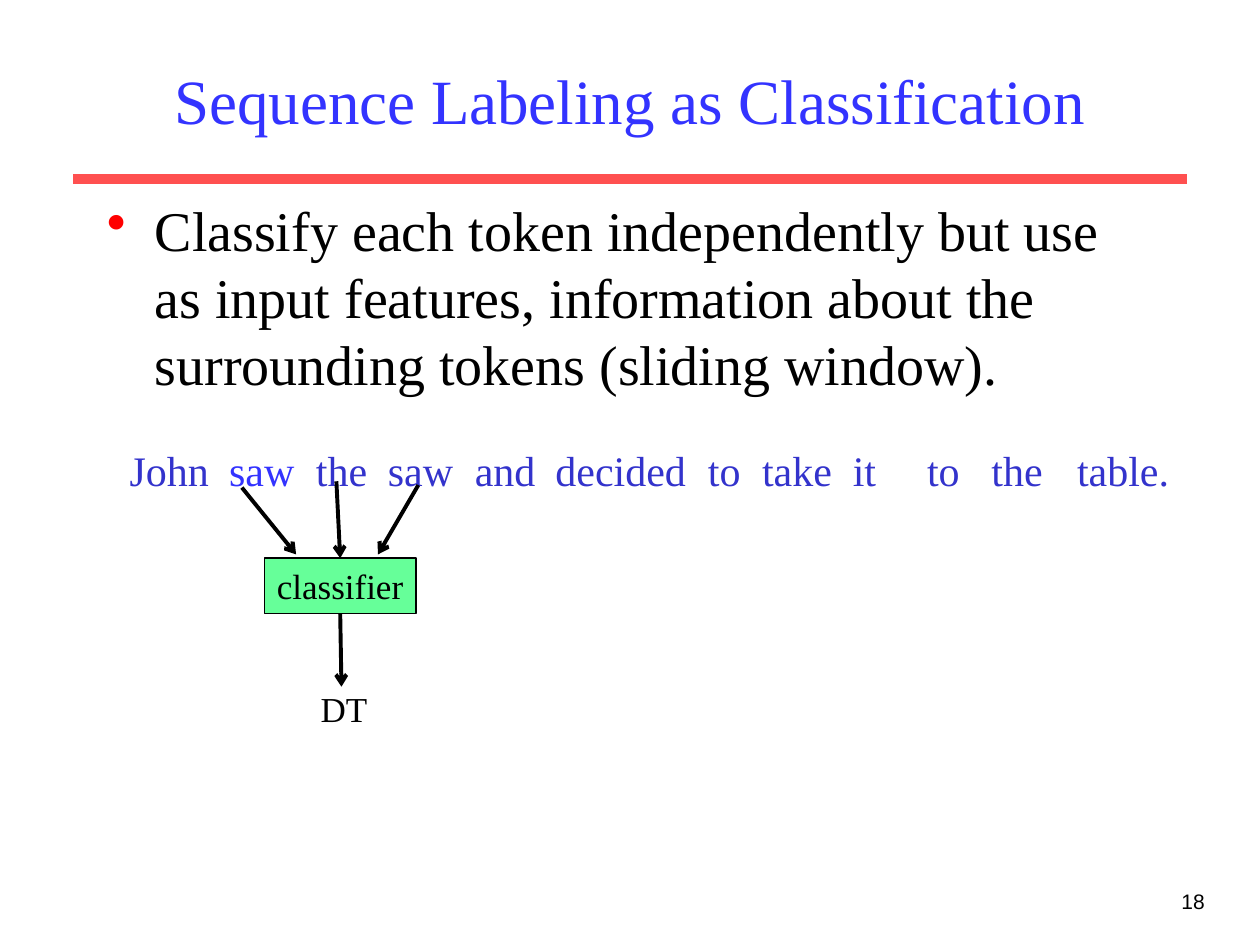
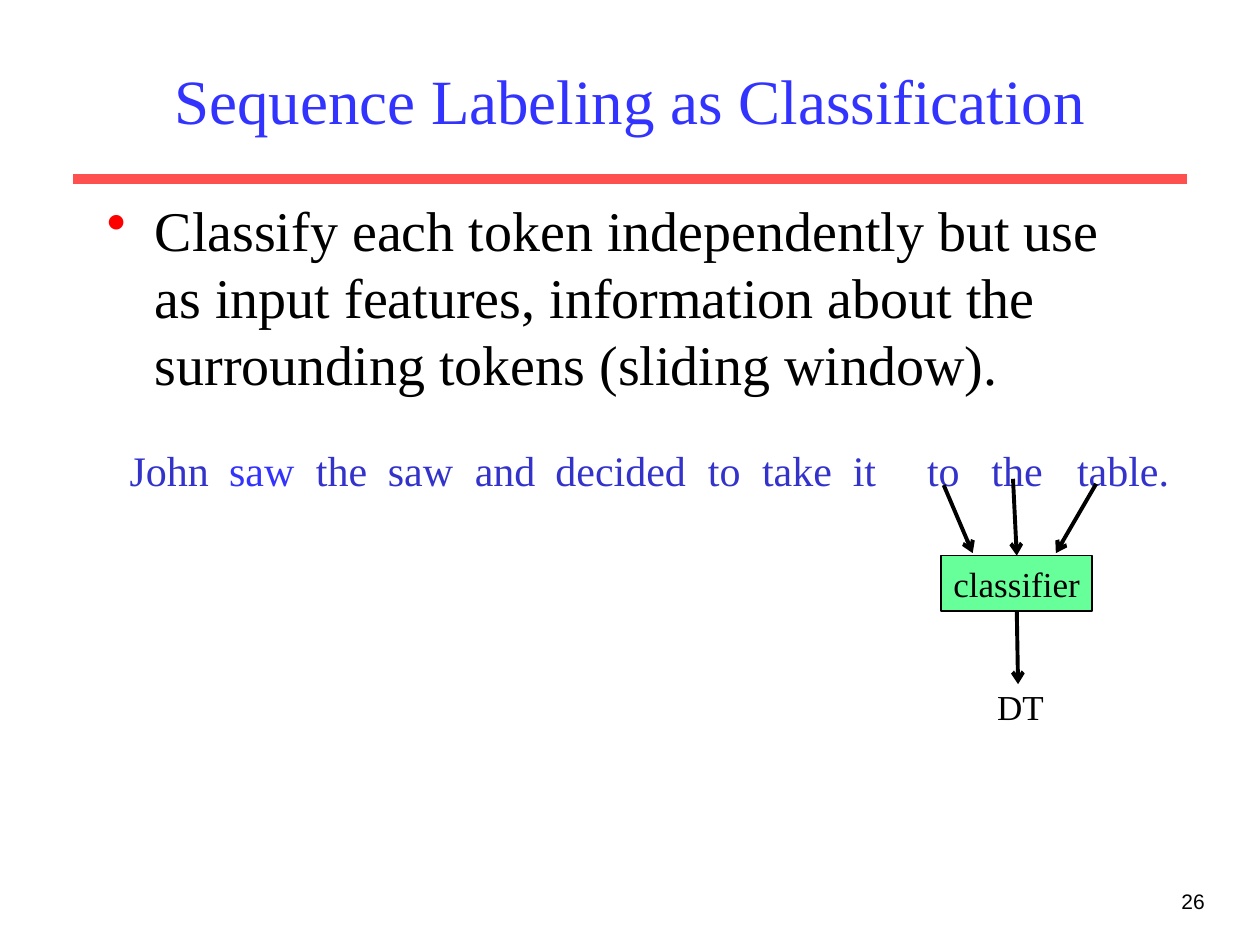
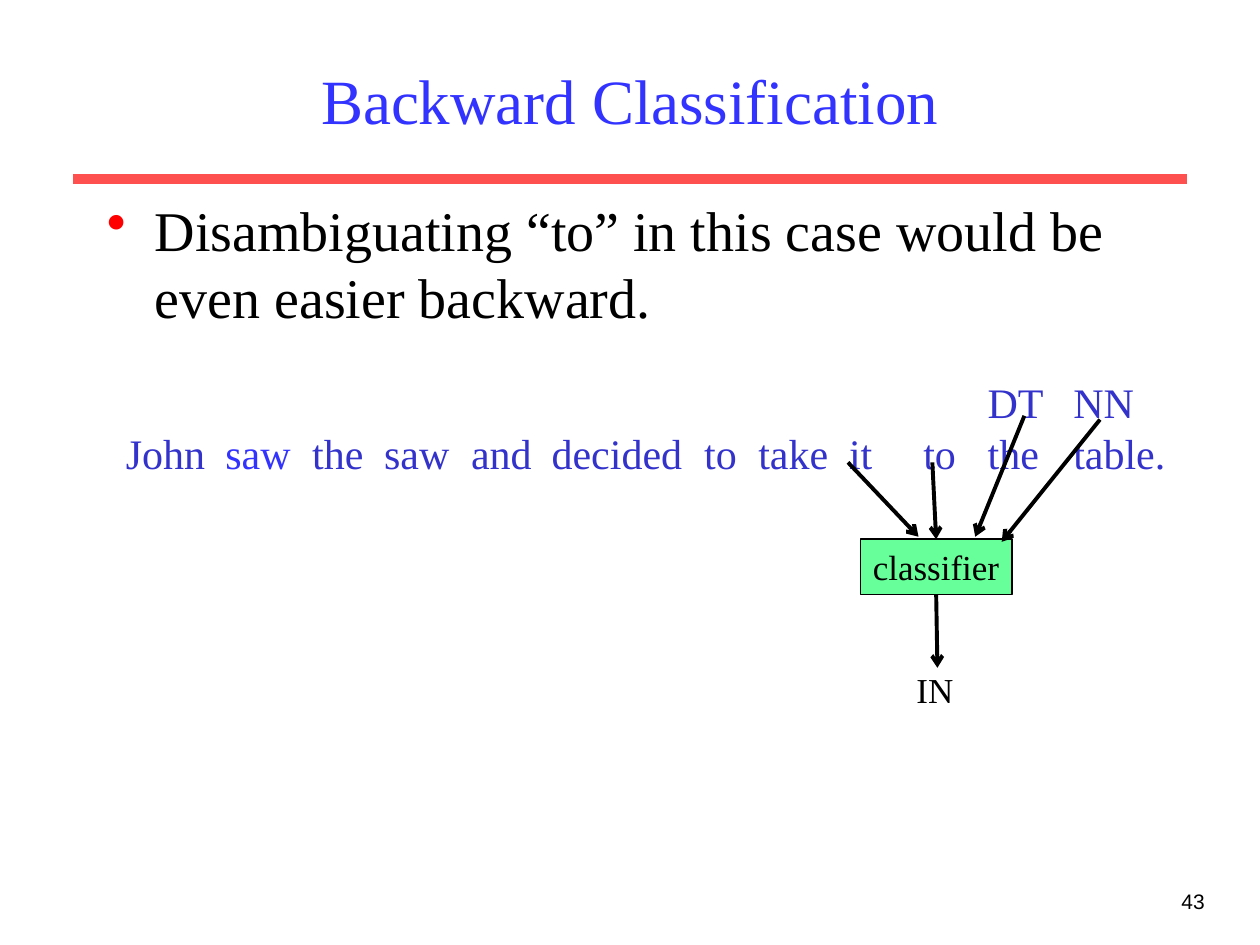
from lxml import etree
from pptx import Presentation
from pptx.dml.color import RGBColor
from pptx.enum.shapes import MSO_CONNECTOR, MSO_SHAPE
from pptx.enum.text import MSO_ANCHOR, PP_ALIGN
from pptx.oxml.ns import qn
from pptx.util import Inches, Pt

LEFT, CENTER, RIGHT = PP_ALIGN.LEFT, PP_ALIGN.CENTER, PP_ALIGN.RIGHT
TOP, MIDDLE = MSO_ANCHOR.TOP, MSO_ANCHOR.MIDDLE
STRAIGHT = MSO_CONNECTOR.STRAIGHT
RECTANGLE = MSO_SHAPE.RECTANGLE
TOP_SIDE, BOTTOM_SIDE = 0, 2

COLORS = {
    "title": "3333FF",
    "rule": "FF5050",
    "bullet": "FF0000",
    "text": "000000",
    "token": "3333CC",
    "accent": "3333FF",
    "classifier": "66FF99",
}
SERIF, SANS = "Times New Roman", "Arial"

TOKENS = "John saw the saw and decided to take it to the table.".split()
TOKEN_STOPS = [0.79, 1.48, 2.05, 2.74, 3.38, 4.59, 5.02, 5.74, 6.33, 6.84, 7.52]
ACCENT_TOKEN = 1

BOX_WIDTH, BOX_HEIGHT = 1.2, 0.44
LABEL_WIDTH = 0.77

SLIDING_WINDOW = (
    "Classify each token independently but use as input features, "
    "information about the surrounding tokens (sliding window)."
)


def color(name):
    return RGBColor.from_string(COLORS[name])


def add_text(paragraph, text, size=20, fill="text", font=SERIF, align=LEFT):
    paragraph.alignment = align
    run = paragraph.add_run()
    run.text = text
    run.font.size = Pt(size)
    run.font.name = font
    run.font.color.rgb = color(fill)


def set_tab_stops(paragraph, stops):
    properties = paragraph._p.get_or_add_pPr()
    tab_list = etree.SubElement(properties, qn("a:tabLst"))
    for stop in stops:
        etree.SubElement(tab_list, qn("a:tab"), pos=str(Inches(stop)), algn="l")


def set_bullet(paragraph, indent):
    properties = paragraph._p.get_or_add_pPr()
    properties.set("marL", str(Inches(indent)))
    properties.set("indent", str(-Inches(indent)))
    bullet_color = etree.SubElement(properties, qn("a:buClr"))
    etree.SubElement(bullet_color, qn("a:srgbClr"), val=COLORS["bullet"])
    etree.SubElement(properties, qn("a:buChar"), char="•")


class Deck:
    def __init__(self):
        self.presentation = Presentation()
        self.presentation.slide_width = Inches(10)
        self.presentation.slide_height = Inches(7.5)
        self.slide = None

    def start_slide(self, title, number):
        blank = self.presentation.slide_layouts[6]
        self.slide = self.presentation.slides.add_slide(blank)
        self.line((0.58, 1.42), (9.42, 1.42), fill="rule", width=6)
        self.text_box(number, 7.58, 7, 2.08, 0.5, size=12, font=SANS, align=RIGHT)
        self.text_box(title, 0.75, 0.25, 8.5, 1.08, anchor=MIDDLE,
                      size=36, fill="title", align=CENTER)

    def frame(self, left, top, width, height, anchor=TOP):
        shape = self.slide.shapes.add_textbox(
            Inches(left), Inches(top), Inches(width), Inches(height))
        shape.text_frame.word_wrap = True
        shape.text_frame.vertical_anchor = anchor
        return shape.text_frame

    def text_box(self, text, left, top, width, height, anchor=TOP, **style):
        text_frame = self.frame(left, top, width, height, anchor)
        add_text(text_frame.paragraphs[0], text, **style)

    def bullet(self, text):
        paragraph = self.frame(0.75, 1.5, 8.5, 5.13).paragraphs[0]
        paragraph.space_before = Pt(8)
        set_bullet(paragraph, 0.38)
        add_text(paragraph, text, size=32)

    def sentence(self, left, top, tags=()):
        text_frame = self.frame(left, top, 8.44, 0.9 if tags else 0.5)
        text_frame.margin_right = 0
        paragraph = text_frame.paragraphs[0]
        if tags:
            add_text(paragraph, "".join("\t" + tag for tag in tags),
                     size=24, fill="token")
            set_tab_stops(paragraph, TOKEN_STOPS[-len(tags):])
            paragraph = text_frame.add_paragraph()
        for index, token in enumerate(TOKENS):
            fill = "accent" if index == ACCENT_TOKEN else "token"
            add_text(paragraph, "\t" + token if index else token, size=24, fill=fill)
        set_tab_stops(paragraph, TOKEN_STOPS)

    def line(self, start, end, fill="text", width=2.25):
        connector = self.slide.shapes.add_connector(
            STRAIGHT, *(Inches(value) for value in (*start, *end)))
        connector.line.color.rgb = color(fill)
        connector.line.width = Pt(width)
        etree.SubElement(connector._element.spPr, qn("a:effectLst"))
        return connector

    def arrow(self, start, end):
        connector = self.line(start, end)
        line_properties = connector.line._get_or_add_ln()
        etree.SubElement(line_properties, qn("a:tailEnd"), type="arrow")
        return connector

    def classifier_box(self, left, top):
        box = self.slide.shapes.add_shape(
            RECTANGLE, Inches(left), Inches(top),
            Inches(BOX_WIDTH), Inches(BOX_HEIGHT))
        box.shadow.inherit = False
        box.fill.solid()
        box.fill.fore_color.rgb = color("classifier")
        box.line.color.rgb = color("text")
        box.line.width = Pt(1)
        box.text_frame.word_wrap = False
        box.text_frame.vertical_anchor = MIDDLE
        add_text(box.text_frame.paragraphs[0], "classifier", align=CENTER)
        return box

    def classifier(self, left, top, side_inputs, label, label_shift):
        center = left + BOX_WIDTH / 2
        bottom = top + BOX_HEIGHT
        box = self.classifier_box(left, top)
        for start, end in side_inputs:
            self.arrow(start, end)
        middle_input = self.arrow((center - 0.03, top - 0.61), (center, top))
        middle_input.end_connect(box, TOP_SIDE)
        output = self.arrow((center, bottom), (center + 0.01, bottom + 0.58))
        output.begin_connect(box, BOTTOM_SIDE)
        self.text_box(label, center + label_shift - LABEL_WIDTH / 2, top + 0.98,
                      LABEL_WIDTH, BOX_HEIGHT, align=CENTER)


def main():
    deck = Deck()

    windows = [
        ("18", 2.1, 4.43, [((1.92, 3.87), (2.35, 4.4)), ((3.32, 3.85), (3, 4.4))]),
        ("26", 7.47, 4.41, [((7.49, 3.85), (7.72, 4.39)), ((8.7, 3.84), (8.38, 4.39))]),
    ]
    for number, left, top, side_inputs in windows:
        deck.start_slide("Sequence Labeling as Classification", number)
        deck.bullet(SLIDING_WINDOW)
        deck.sentence(0.93, 3.48)
        deck.classifier(left, top, side_inputs, "DT", label_shift=0.03)

    deck.start_slide("Backward Classification", "43")
    deck.bullet("Disambiguating “to” in this case would be even easier backward.")
    deck.sentence(0.9, 2.94, tags=("DT", "NN"))
    backward_inputs = [
        ((6.73, 3.67), (7.29, 4.26)),
        ((8.13, 3.3), (7.74, 4.26)),
        ((8.73, 3.33), (7.95, 4.3)),
    ]
    deck.classifier(6.83, 4.28, backward_inputs, "IN", label_shift=-0.01)

    deck.presentation.save("out.pptx")


if __name__ == "__main__":
    main()
